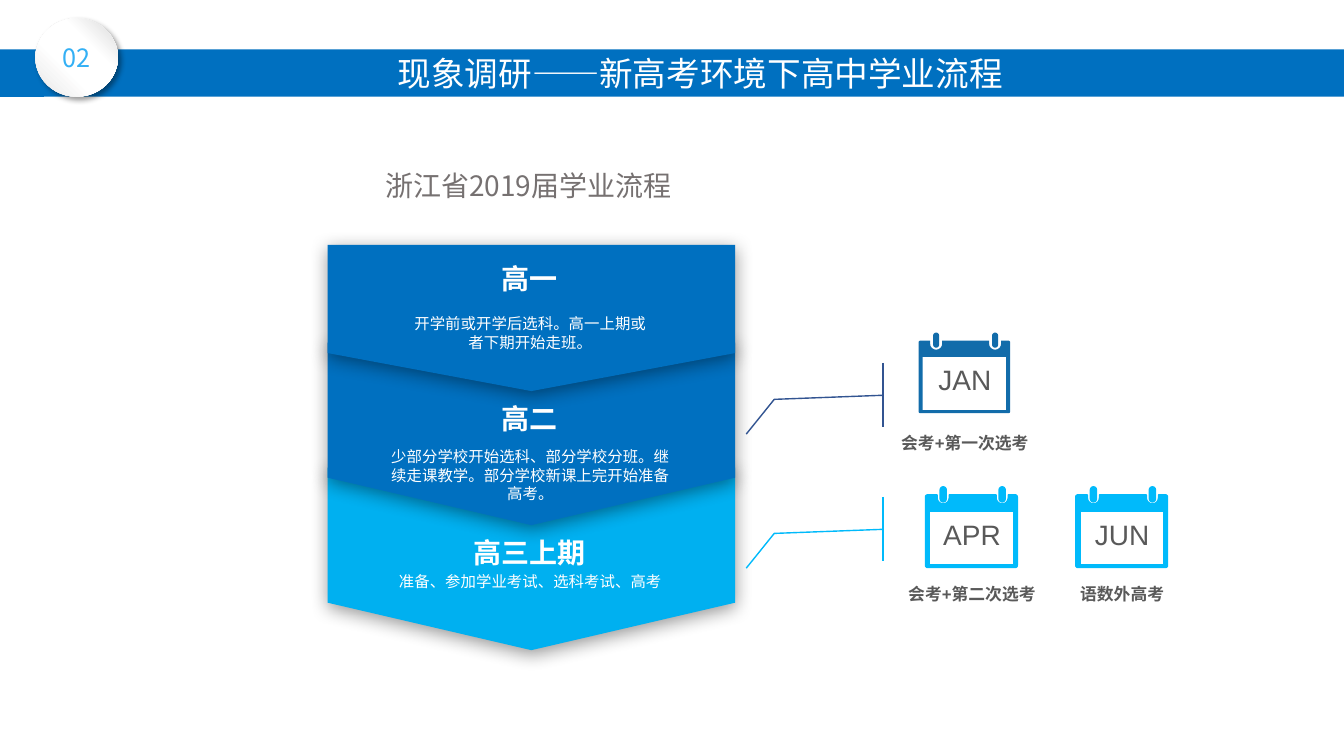
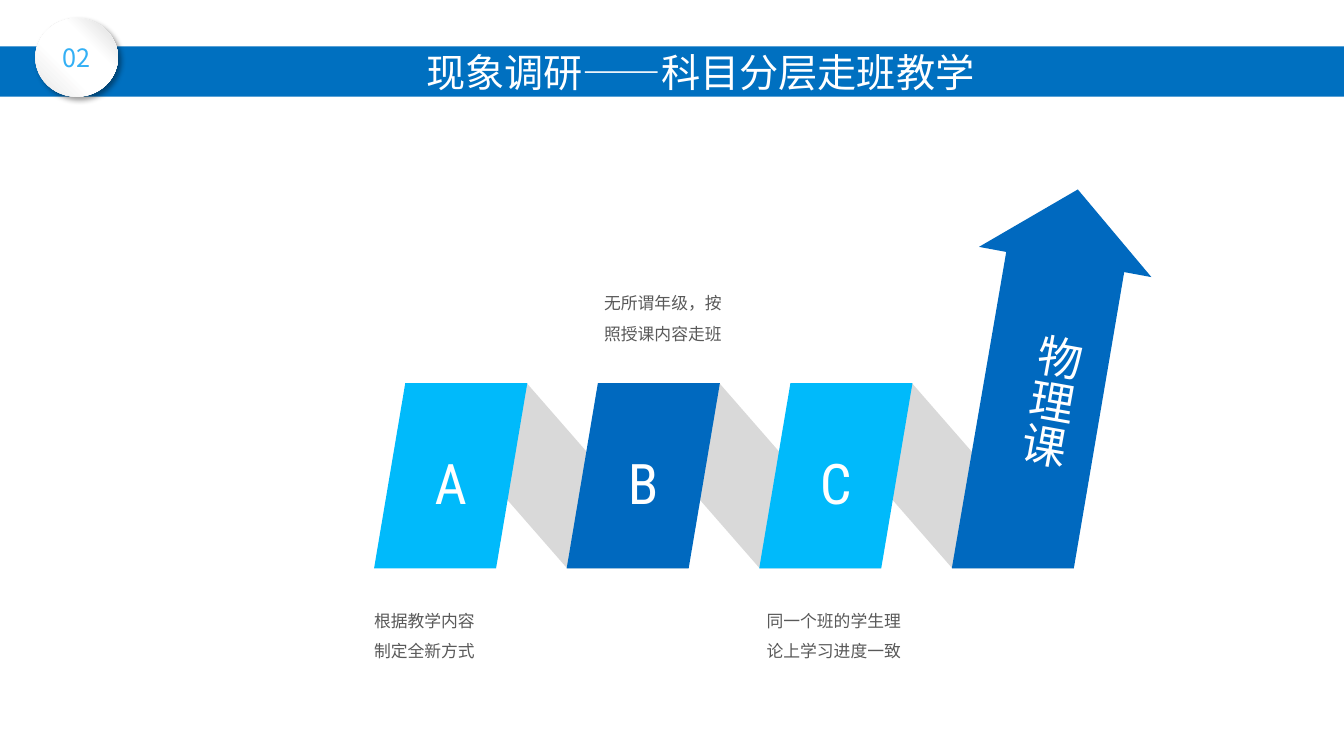
from dataclasses import dataclass
from math import cos, radians, sin

from lxml.etree import SubElement
from pptx import Presentation
from pptx.dml.color import RGBColor
from pptx.enum.shapes import MSO_SHAPE
from pptx.enum.text import MSO_ANCHOR, PP_ALIGN
from pptx.oxml.ns import qn
from pptx.util import Inches, Pt


@dataclass(frozen=True)
class Theme:
    band: str = "0070C0"
    sky: str = "00B0F0"
    cyan: str = "00BAFB"
    deep: str = "0069BF"
    steel: str = "126CAA"
    navy: str = "325491"
    badge: str = "33B0F5"
    white: str = "FFFFFF"
    pale: str = "D9D9D9"
    gray: str = "767171"
    dark: str = "595959"
    sheen: tuple = ((0, "E7E6E6"), (38, "FFFFFF"), (66, "FFFFFF"), (100, "D9D9D9"))
    sans: str = "Noto Sans CJK SC"
    latin: str = "Arial"
    slim: str = "Roboto Condensed"
    tiny: int = 11
    small: int = 12
    mid: int = 18
    head: int = 20
    huge: int = 32
    mark: int = 40


T = Theme()

NUMBER = "02"
FLOW = {"title": "现象调研——新高考环境下高中学业流程", "size": 24, "top": 0.49}
STEPS = {"title": "现象调研——科目分层走班教学", "size": 28, "top": 0.46}

HEAD = "浙江省2019届学业流程"
GRADES = [
    ("高三上期", 5.26, "准备、参加学业考试、选科考试、高考", 5.63, 3.09, 4.64, 1.81, T.sky),
    ("高二", 3.93, "少部分学校开始选科、部分学校分班。继续走课教学。部分学校新课上完开始准备高考。",
     4.39, 3.09, 3.4, 1.81, T.band),
    ("高一", 2.55, "开学前或开学后选科。高一上期或者下期开始走班。", 3.07, 2.64, 2.43, 1.45, T.band),
]
DATES = [
    ("JAN", "会考+第一次选考", 9.11, 3.3, 4.24, T.steel, None),
    ("APR", "会考+第二次选考", 9.18, 4.83, 5.74, T.cyan, T.cyan),
    ("JUN", "语数外高考", 10.67, 4.83, 5.74, T.cyan, T.cyan),
]
CALLS = [(3.6, T.navy), (4.93, T.cyan)]
BENDS = (0.503, 0.832, 0.566, -0.279, 1.104, -0.565)

TILES = [("A", T.cyan), ("B", T.deep), ("C", T.cyan)]
ARROW = [(10.69, 1.88), (11.42, 2.75), (11.15, 2.7), (10.65, 5.64),
         (9.44, 5.64), (9.98, 2.5), (9.71, 2.45)]
COURSE = "物理课"
NOTES = [
    ("根据教学内容制定全新方式", 3.55, 5.91, 1.32),
    ("无所谓年级，按照授课内容走班", 5.82, 2.76, 1.51),
    ("同一个班的学生理论上学习进度一致", 7.5, 5.91, 1.54),
]


def rgb(color):
    return RGBColor.from_string(color)


def paint(shape, fill, line=None):
    shape.shadow.inherit = False
    shape.fill.solid()
    shape.fill.fore_color.rgb = rgb(fill)
    if line:
        shape.line.color.rgb = rgb(line)
        shape.line.width = Pt(1)
    else:
        shape.line.fill.background()


def write(shape, text, size, color, font=T.latin, bold=False,
          align=PP_ALIGN.CENTER, space=None):
    frame = shape.text_frame
    frame.text = text
    para = frame.paragraphs[0]
    para.alignment = align
    if space:
        para.line_spacing = space
    run = para.runs[0]
    run.font.size = Pt(size)
    run.font.bold = bold
    run.font.color.rgb = rgb(color)
    run.font.name = font
    east = SubElement(run.font._element, qn("a:ea"))
    east.set("typeface", T.sans)


def label(slide, box, text, size, color, wrap=True, **style):
    shape = slide.shapes.add_textbox(*map(Inches, box))
    shape.text_frame.word_wrap = wrap
    write(shape, text, size, color, **style)
    return shape


def block(slide, kind, box, fill, line=None, bends=()):
    shape = slide.shapes.add_shape(kind, *map(Inches, box))
    for spot, bend in enumerate(bends):
        shape.adjustments[spot] = bend
    paint(shape, fill, line)
    shape.text_frame.vertical_anchor = MSO_ANCHOR.MIDDLE
    return shape


def shade(shape, blur, angle):
    group = shape._element.spPr.find(qn("a:effectLst"))
    cast = SubElement(group, qn("a:outerShdw"), blurRad=str(Pt(blur)),
                      dist=str(Pt(3)), dir=str(angle * 60000), rotWithShape="0")
    tone = SubElement(cast, qn("a:srgbClr"), val="000000")
    SubElement(tone, qn("a:alpha"), val="40000")


def blend(shape, stops):
    shape.fill.gradient()
    shape.fill.gradient_angle = 45
    group = shape._element.spPr.find(qn("a:gradFill")).find(qn("a:gsLst"))
    for old in list(group):
        group.remove(old)
    for part, color in stops:
        stop = SubElement(group, qn("a:gs"), pos=str(part * 1000))
        SubElement(stop, qn("a:srgbClr"), val=color)


def trace(slide, loops, fill, line=None):
    loops = [[(Inches(x), Inches(y)) for x, y in loop] for loop in loops]
    pen = slide.shapes.build_freeform(*loops[0][0])
    for spot, loop in enumerate(loops):
        if spot:
            pen.move_to(*loop[0])
        pen.add_line_segments(loop[1:], close=True)
    shape = pen.convert_to_shape()
    paint(shape, fill, line)
    return shape


def arc(x, y, size, start, end, count=8):
    turns = [radians(start + (end - start) * n / count) for n in range(count + 1)]
    return [(x + size * cos(t), y + size * sin(t)) for t in turns]


def month(slide, left, top, fill, line):
    rings = (0.175, 0.76)
    pane = [(0.04, 0.24), (0.04, 0.77), (0.87, 0.77), (0.87, 0.24)]
    frame = arc(0.02, 0.1, 0.02, 180, 270)
    for x in rings:
        frame += [(x - 0.06, 0.08), *arc(x, 0.11, 0.06, 180, 0), (x + 0.06, 0.08)]
    for x, y, turn in ((0.89, 0.1, 270), (0.89, 0.78, 0), (0.02, 0.78, 90)):
        frame += arc(x, y, 0.02, turn, turn + 90)
    pins = [arc(x, 0.03, 0.03, 180, 360) + arc(x, 0.12, 0.03, 0, 180) for x in rings]
    loops = [[(left + x, top + y) for x, y in loop] for loop in (pane, frame, *pins)]
    trace(slide, loops, fill, line)


def start(deck, info):
    slide = deck.slides.add_slide(deck.slide_layouts[6])
    top = info["top"]
    band = block(slide, MSO_SHAPE.ROUNDED_RECTANGLE, (-0.6, top, 15.09, 0.96 - top), T.band)
    write(band, info["title"], info["size"], T.white, T.sans)
    badge = block(slide, MSO_SHAPE.OVAL, (0.35, 0.18, 0.82, 0.78), T.white)
    blend(badge, T.sheen)
    shade(badge, 4, 45)
    write(badge, NUMBER, T.mid, T.badge, T.sans)
    return slide


def flow(deck):
    slide = start(deck, FLOW)
    axis, span = 5.27, 4.04
    for name, high, text, low, wide, top, tall, color in GRADES:
        box = (axis - tall / 2, top + tall / 2 - span / 2, tall, span)
        plate = block(slide, MSO_SHAPE.PENTAGON, box, color, bends=(0.26,))
        plate.rotation = 90
        shade(plate, 13, 90)
        mid = axis - 0.01
        label(slide, (mid - wide / 2, low, wide, 0.47), text, T.tiny, T.white)
        label(slide, (mid - 1.55, high, 3.09, 0.43), name, T.head, T.white, bold=True)
    for name, text, left, top, low, fill, line in DATES:
        month(slide, left, top, fill, line)
        label(slide, (left, top + 0.25, 0.92, 0.42), name, T.head, T.dark)
        label(slide, (left - 0.29, low, 1.5, 0.3), text, T.small, T.dark, bold=True)
    for top, color in CALLS:
        block(slide, MSO_SHAPE.LINE_CALLOUT_2_ACCENT_BAR, (7.95, top, 0.97, 0.64),
              T.white, color, BENDS)
    label(slide, (3.72, 1.62, 3.11, 0.44), HEAD, T.head, T.gray, font=T.sans,
          align=PP_ALIGN.LEFT)


def steps(deck):
    slide = start(deck, STEPS)
    left, top, tall, pitch = 3.71, 3.8, 1.84, 1.91
    spots = [left + pitch * n for n in range(len(TILES))]
    for x in spots:
        fold = block(slide, MSO_SHAPE.PARALLELOGRAM, (x + 0.31, top, 2.81, tall),
                     T.pale, bends=(0.873,))
        fold._element.spPr.xfrm.set("flipH", "1")
    for x, (name, color) in zip(spots, TILES):
        tile = block(slide, MSO_SHAPE.PARALLELOGRAM, (x, top, 1.52, tall),
                     color, bends=(0.204,))
        tile.text_frame.margin_left = tile.text_frame.margin_right = 0
        write(tile, name, T.mark, T.white, T.slim, space=1.2)
    trace(slide, [ARROW], T.deep)
    tag = label(slide, (10.01, 3.21, 0.74, 1.45), COURSE, T.huge, T.white,
                wrap=False, font=T.sans, align=PP_ALIGN.LEFT)
    tag.rotation = 10.2
    tag.text_frame._txBody.bodyPr.set("vert", "eaVert")
    for text, x, y, wide in NOTES:
        label(slide, (x, y, wide, 0.67), text, T.small, T.dark, font=T.sans, space=1.5)


def main():
    deck = Presentation()
    deck.slide_width, deck.slide_height = Inches(13.33), Inches(7.5)
    flow(deck)
    steps(deck)
    deck.save("out.pptx")


if __name__ == "__main__":
    main()
